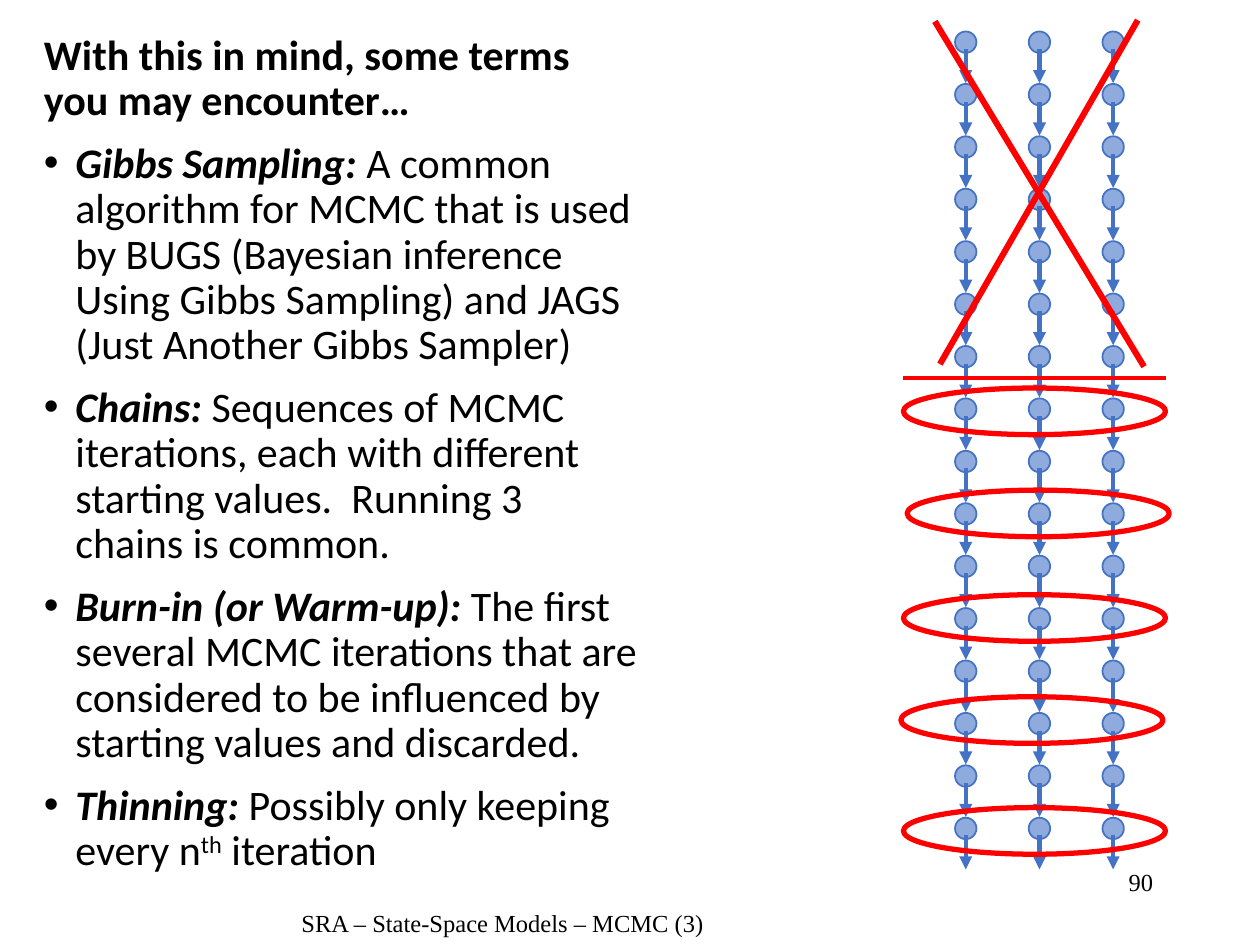
from lxml.etree import SubElement
from pptx import Presentation
from pptx.dml.color import RGBColor
from pptx.enum.shapes import MSO_CONNECTOR, MSO_SHAPE
from pptx.enum.text import PP_ALIGN
from pptx.oxml.ns import qn
from pptx.util import Inches, Pt

COLORS = {"text": "000000", "node": "8FAADC", "chain": "4472C4", "mark": "FF0000"}
BODY_FONT, FOOTER_FONT = "Calibri", "Times New Roman"

HEADING = "With this in mind, some terms you may encounter…"
TERMS = [
    ("Gibbs Sampling: ", ["A common algorithm for MCMC that is used by BUGS (Bayesian "
                          "inference Using Gibbs Sampling) and JAGS (Just Another Gibbs Sampler)"]),
    ("Chains: ", ["Sequences of MCMC iterations, each with different starting values.  "
                  "Running 3 chains is common."]),
    ("Burn-in (or Warm-up): ", ["The first several MCMC iterations that are considered to be "
                                "influenced by starting values and discarded."]),
    ("Thinning: ", ["Possibly only keeping every n", "th", " iteration"]),
]

CHAINS, ITERATIONS = 3, 16
CHAIN_GAP, ITERATION_GAP = 0.585, 0.416
NODE_SIZE = 0.17
KEPT_ITERATIONS = [(7.17, 3.08), (7.2, 3.89), (7.17, 4.72), (7.15, 5.53), (7.17, 6.41)]


def rgb(name):
    return RGBColor.from_string(COLORS[name])


def add_text_frame(slide, left, top, width, height):
    box = slide.shapes.add_textbox(Inches(left), Inches(top), Inches(width), Inches(height))
    box.text_frame.word_wrap = True
    return box.text_frame


def add_run(paragraph, text, size, font_name, bold=False, italic=False):
    run = paragraph.add_run()
    run.text = text
    font = run.font
    font.size, font.name, font.bold, font.italic = Pt(size), font_name, bold, italic
    font.color.rgb = rgb("text")
    return run


def add_bullet(paragraph):
    properties = paragraph._p.get_or_add_pPr()
    properties.set("marL", str(Inches(0.25)))
    properties.set("indent", str(Inches(-0.25)))
    SubElement(properties, qn("a:buFont")).set("typeface", "Arial")
    SubElement(properties, qn("a:buChar")).set("char", "•")


def add_terms(slide, left, top, width, height):
    frame = add_text_frame(slide, left, top, width, height)
    heading = frame.paragraphs[0]
    heading.line_spacing = 0.9
    add_run(heading, HEADING, 24, BODY_FONT, bold=True)
    for term, definition in TERMS:
        paragraph = frame.add_paragraph()
        paragraph.line_spacing = 0.9
        paragraph.space_before = Pt(10)
        add_bullet(paragraph)
        add_run(paragraph, term, 24, BODY_FONT, bold=True, italic=True)
        for part in definition:
            run = add_run(paragraph, part, 24, BODY_FONT)
            if part == "th":
                run._r.get_or_add_rPr().set("baseline", "30000")


def add_footer_text(slide, text, left, top, width, height, align):
    paragraph = add_text_frame(slide, left, top, width, height).paragraphs[0]
    paragraph.alignment = align
    add_run(paragraph, text, 14, FOOTER_FONT)


def add_ellipse(slide, left, top, width, height, line_color, line_width, fill=None):
    ellipse = slide.shapes.add_shape(
        MSO_SHAPE.OVAL, Inches(left), Inches(top), Inches(width), Inches(height))
    ellipse.shadow.inherit = False
    if fill:
        ellipse.fill.solid()
        ellipse.fill.fore_color.rgb = rgb(fill)
    else:
        ellipse.fill.background()
    ellipse.line.color.rgb = rgb(line_color)
    ellipse.line.width = Pt(line_width)


def add_line(slide, start, end, color, width, arrow=False):
    line = slide.shapes.add_connector(
        MSO_CONNECTOR.STRAIGHT, *(Inches(value) for value in (*start, *end)))
    line.line.color.rgb = rgb(color)
    line.line.width = Pt(width)
    if arrow:
        SubElement(line.line._get_or_add_ln(), qn("a:tailEnd")).set("type", "triangle")
    SubElement(line._element.spPr, qn("a:effectLst"))


def add_chains(slide, left, top):
    """Draw each iteration as a row of nodes with arrows to the next row."""
    for iteration in range(ITERATIONS):
        y = top + iteration * ITERATION_GAP
        for chain in range(CHAINS):
            x = left + chain * CHAIN_GAP
            center = x + NODE_SIZE / 2
            add_ellipse(slide, x, y, NODE_SIZE, NODE_SIZE, "chain", 1, fill="node")
            add_line(slide, (center, y + 0.14), (center, y + 0.41), "chain", 2.5, arrow=True)


def add_burn_in_marks(slide):
    """Cross out the discarded iterations and rule them off."""
    add_line(slide, (7.42, 0.17), (9.08, 2.91), "mark", 3.5)
    add_line(slide, (9.03, 0.16), (7.46, 2.89), "mark", 3.5)
    add_line(slide, (7.17, 3), (9.25, 3), "mark", 2.5)


def add_thinning_marks(slide):
    """Circle the iterations that are kept."""
    for left, top in KEPT_ITERATIONS:
        add_ellipse(slide, left, top, 2.08, 0.37, "mark", 3)


def main():
    presentation = Presentation()
    presentation.slide_width, presentation.slide_height = Inches(10), Inches(7.5)
    slide = presentation.slides.add_slide(presentation.slide_layouts.get_by_name("Blank"))
    add_terms(slide, 0.25, 0.22, 4.92, 6.83)
    add_footer_text(slide, "90", 7.17, 6.83, 2.08, 0.5, PP_ALIGN.RIGHT)
    add_footer_text(slide, "SRA – State-Space Models – MCMC (3)",
                    2.17, 7.16, 3.64, 0.37, PP_ALIGN.CENTER)
    add_chains(slide, 7.58, 0.25)
    add_burn_in_marks(slide)
    add_thinning_marks(slide)
    presentation.save("out.pptx")


if __name__ == "__main__":
    main()
